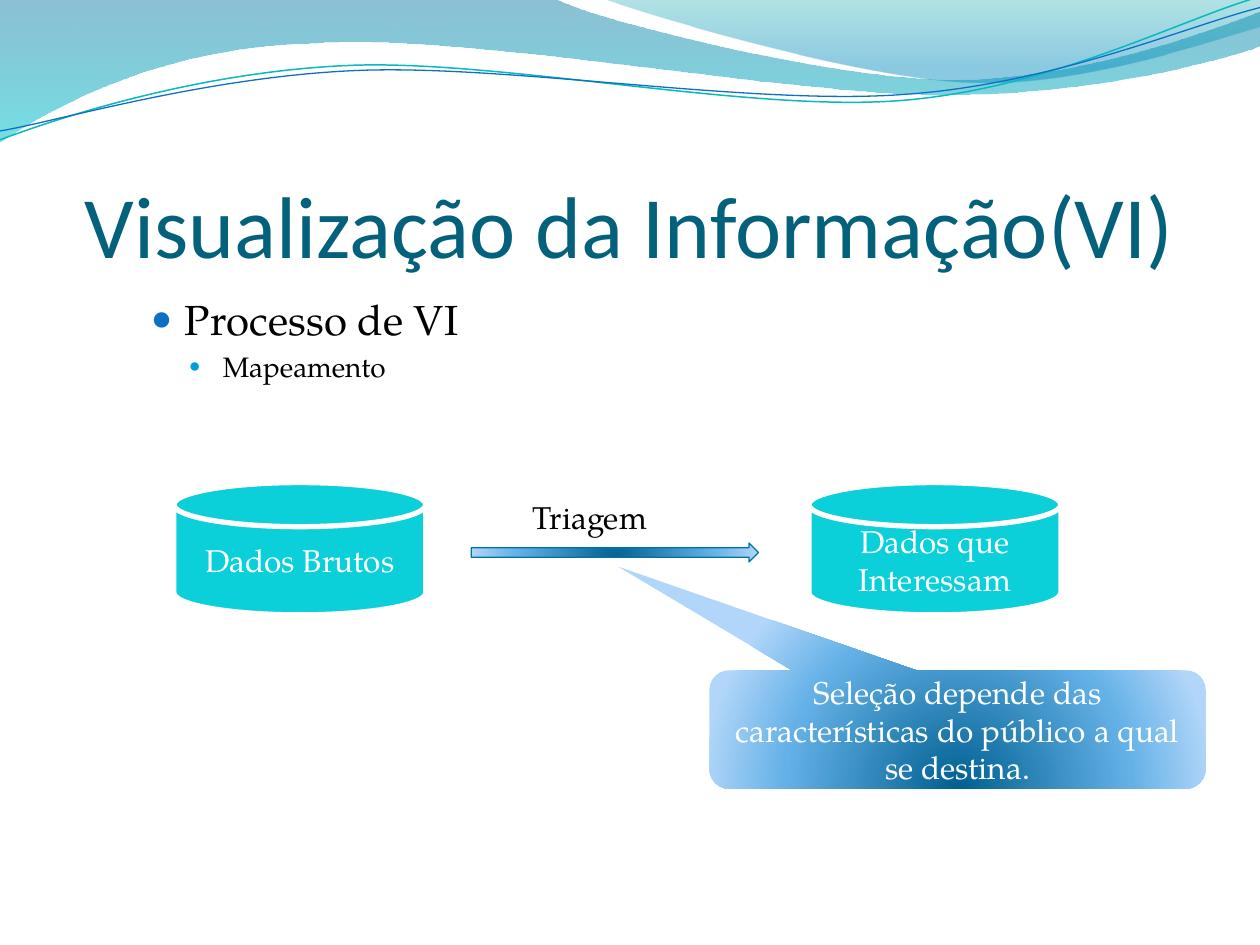
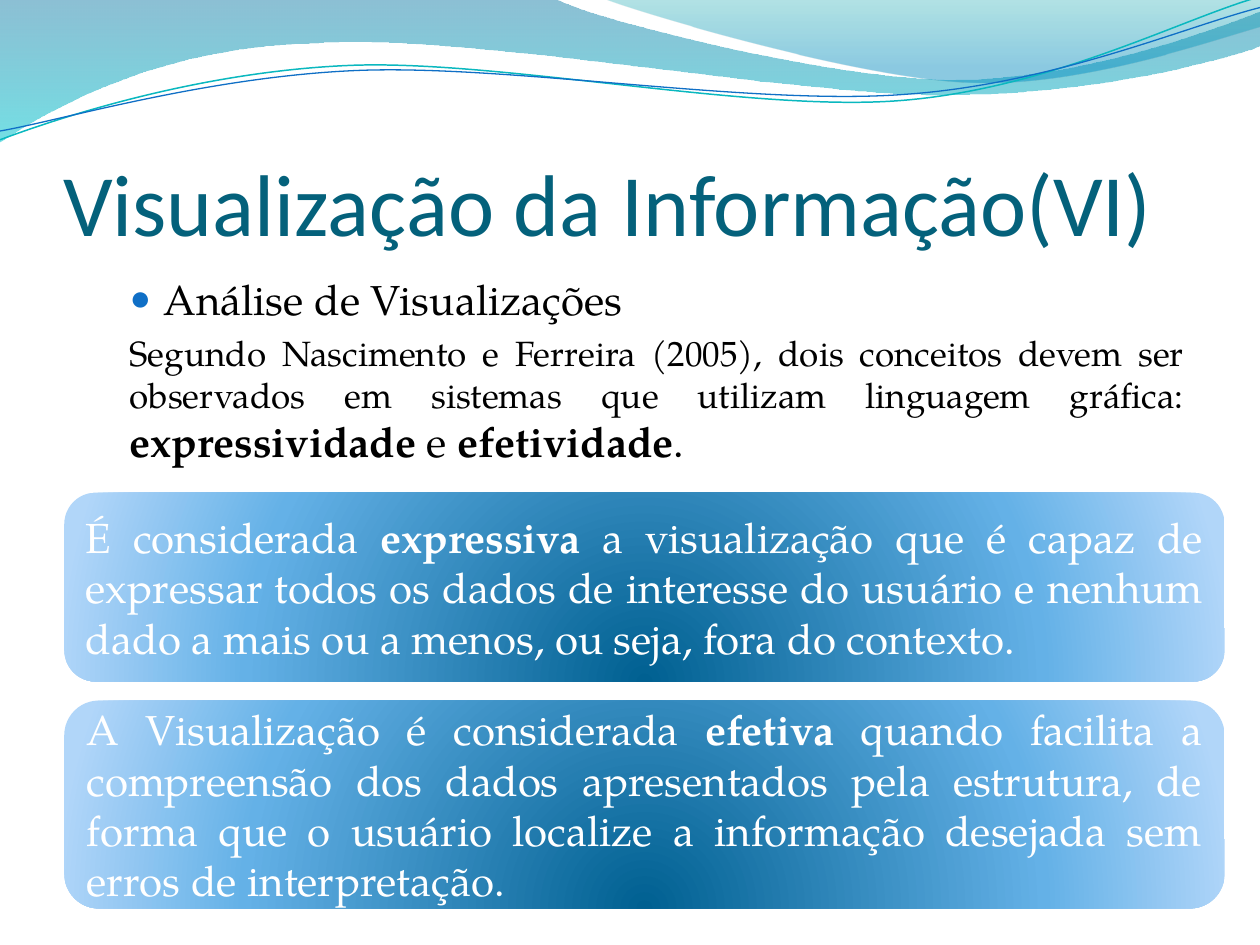
from lxml import etree
from pptx import Presentation
from pptx.dml.color import RGBColor
from pptx.enum.shapes import MSO_SHAPE as Shape
from pptx.enum.text import MSO_ANCHOR as Anchor, MSO_AUTO_SIZE as AutoSize, PP_ALIGN as Align
from pptx.oxml import parse_xml
from pptx.oxml.ns import nsdecls, qn
from pptx.util import Inches, Pt

TITLE_FONT = "Calibri"
BODY_FONT = "TeX Gyre Pagella"
TITLE_TEXT = "Visualização da Informação(VI)"

BLACK = RGBColor(0x00, 0x00, 0x00)
WHITE = RGBColor(0xFF, 0xFF, 0xFF)
TITLE_TEAL = RGBColor(0x04, 0x61, 0x7B)
BLUE = RGBColor(0x0F, 0x6F, 0xC6)
SKY = RGBColor(0x00, 0x9D, 0xD9)
CYAN = RGBColor(0x0B, 0xD0, 0xD9)
WAVE_CYAN = RGBColor(0x0A, 0xB8, 0xBF)
ARROW_EDGE = RGBColor(0x00, 0x74, 0xA1)

# Gradient stops: position %, colour, opacity %
LEFT_WAVE_STOPS = [(0, ARROW_EDGE, 45), (100, RGBColor(0x00, 0xC6, 0xCF), 55)]
RIGHT_WAVE_STOPS = [(0, RGBColor(0x00, 0xA1, 0xA9), 30), (80, RGBColor(0x00, 0x8B, 0xBF), 45)]
GLOW_STOPS = [(0, RGBColor(0x00, 0x60, 0x91), 100), (68, RGBColor(0x64, 0xB1, 0xE7), 100),
              (100, RGBColor(0xB1, 0xD6, 0xF9), 100)]
DOWNWARD = '<a:lin ang="5400000" scaled="1"/>'
FROM_BELOW = ('<a:path path="circle"><a:fillToRect l="50000" t="130000" r="50000" b="-30000"/>'
              '</a:path>')

# Outlines in inches: a pair is a straight step, six numbers are a Bézier step
LEFT_WAVE = [(0, 0), (4.4, -0.01), (4.76, 0.17, 6.64, 0.63, 7.58, 0.63),
             (8.53, 0.63, 9.58, 0.26, 10, 0.09), (10.01, 0.36),
             (9.83, 0.44, 8.7, 0.76, 7.46, 0.75), (6.22, 0.75, 3.82, 0.28, 2.57, 0.34),
             (1.29, 0.36, 0.46, 0.83, -0.01, 1.13)]
RIGHT_WAVE = [(4.79, -0.01), (5.09, 0.11, 6.82, 0.62, 7.69, 0.65),
              (8.56, 0.69, 9.61, 0.32, 10, 0.21), (10, 0)]
CYAN_CURVE = [(0, 1.11), (0.48, 0.93, 1.58, 0.57, 2.77, 0.52),
              (3.95, 0.47, 5.93, 0.89, 7.13, 0.8), (8.33, 0.71, 9.38, 0.15, 9.98, -0.02)]
BLUE_CURVE = [(0, 1.04), (0.47, 0.96, 1.64, 0.61, 2.83, 0.56),
              (4.03, 0.51, 5.97, 0.84, 7.17, 0.75), (8.36, 0.67, 9.41, 0.21, 10, 0.06)]


def inches(*lengths):
    return [Inches(length) for length in lengths]


def fill_gradient(shape, stops, direction):
    marks = "".join(
        f'<a:gs pos="{position * 1000}"><a:srgbClr val="{colour}">'
        f'<a:alpha val="{opacity * 1000}"/></a:srgbClr></a:gs>'
        for position, colour, opacity in stops)
    shape.element.spPr.insert(2, parse_xml(
        f'<a:gradFill {nsdecls("a")} rotWithShape="1"><a:gsLst>{marks}</a:gsLst>'
        f'{direction}</a:gradFill>'))


def add_outline(page, outline, close):
    """Build a freeform through the end points, then bend its Bézier steps."""
    start, *steps = outline
    builder = page.shapes.build_freeform(*inches(*start))
    builder.add_line_segments([inches(*step[-2:]) for step in steps], close=close)
    shape = builder.convert_to_shape()
    shape.shadow.inherit = False
    segments = list(shape.element.iter(qn("a:lnTo")))
    for segment, step in zip(segments, steps):
        if len(step) == 6:
            segment.tag = qn("a:cubicBezTo")
            for index in (0, 2):
                control = etree.Element(qn("a:pt"), x=str(Inches(step[index]) - shape.left),
                                        y=str(Inches(step[index + 1]) - shape.top))
                segment.insert(index // 2, control)
    return shape


def add_wave_band(page, master):
    """Draw the waves on a page and move them to the master, behind everything."""
    shapes = []
    for outline, stops in ((LEFT_WAVE, LEFT_WAVE_STOPS), (RIGHT_WAVE, RIGHT_WAVE_STOPS)):
        wave = add_outline(page, outline, close=True)
        wave.line.fill.background()
        fill_gradient(wave, stops, DOWNWARD)
        shapes.append(wave)
    for outline, colour, width in ((CYAN_CURVE, WAVE_CYAN, 0.85), (BLUE_CURVE, BLUE, 0.75)):
        curve = add_outline(page, outline, close=False)
        curve.fill.background()
        curve.line.color.rgb = colour
        curve.line.width = Pt(width)
        shapes.append(curve)
    for index, shape in enumerate(shapes):
        shape.element.nvSpPr.cNvPr.set("id", str(101 + index))
        master.shapes.element.insert(2 + index, shape.element)


def set_font(font, size, colour, name=BODY_FONT):
    font.name, font.size, font.color.rgb = name, Pt(size), colour


def add_page(deck, left, top):
    """Add a page with its title at the given corner."""
    page = deck.slides.add_slide(deck.slide_layouts[5])
    title = page.shapes.title
    title.left, title.top, title.width, title.height = inches(left, top, 9, 1.25)
    frame = title.text_frame
    frame.text = TITLE_TEXT
    frame.auto_size = AutoSize.NONE
    frame.vertical_anchor = Anchor.BOTTOM
    frame.margin_left = frame.margin_right = frame.margin_bottom = 0
    frame.margin_top = Inches(0.05)
    para = frame.paragraphs[0]
    para.alignment = Align.LEFT
    set_font(para.font, 50, TITLE_TEAL, TITLE_FONT)
    return page


def add_text_box(page, box):
    frame = page.shapes.add_textbox(*inches(*box)).text_frame
    frame.word_wrap = True
    return frame


def indent(para, margin, first_line=0.0):
    props = para._p.get_or_add_pPr()
    props.set("marL", str(Inches(margin)))
    props.set("indent", str(Inches(first_line)))
    return props


def format_bullet(para, text, size, margin, colour, scale):
    para.text = text
    set_font(para.font, size, BLACK)
    para.space_before = Pt(size * 0.2)
    props = indent(para, margin, -0.27)
    etree.SubElement(etree.SubElement(props, qn("a:buClr")), qn("a:srgbClr"), val=str(colour))
    etree.SubElement(props, qn("a:buSzPct"), val=str(scale * 1000))
    etree.SubElement(props, qn("a:buFont"), typeface="Arial")
    etree.SubElement(props, qn("a:buChar"), char="●")
    # The default run properties must follow the bullet settings
    props.append(props.find(qn("a:defRPr")))


def format_topic(para, text):
    format_bullet(para, text, 24, 0.7, BLUE, 85)


def add_spans(para, parts):
    """Add (text, size, bold) spans to a paragraph."""
    for text, size, bold in parts:
        span = para.add_run()
        span.text = text
        span.font.size = Pt(size)
        span.font.bold = bold


def add_shape_text(shape, size, align):
    frame = shape.text_frame
    frame.word_wrap = True
    frame.vertical_anchor = Anchor.MIDDLE
    para = frame.paragraphs[0]
    para.alignment = align
    set_font(para.font, size, WHITE)
    return para


def add_data_store(page, left, top, label):
    store = page.shapes.add_shape(Shape.FLOWCHART_MAGNETIC_DISK, *inches(left, top, 2, 1.05))
    store.shadow.inherit = False
    store.fill.solid()
    store.fill.fore_color.rgb = CYAN
    store.line.color.rgb = WHITE
    store.line.width = Pt(3)
    add_shape_text(store, 18, Align.CENTER).text = label


def add_glow_shape(page, kind, box):
    shape = page.shapes.add_shape(kind, *inches(*box))
    shape.shadow.inherit = False
    fill_gradient(shape, GLOW_STOPS, FROM_BELOW)
    shape.line.fill.background()
    return shape


def add_screening_flow(page, left, top):
    """Draw raw data, the screening arrow, the data of interest and the callout."""
    add_data_store(page, left, top, "Dados Brutos")
    add_data_store(page, left + 5.04, top, "Dados que Interessam")

    arrow = add_glow_shape(page, Shape.RIGHT_ARROW, (left + 2.36, top + 0.48, 2.28, 0.15))
    arrow.line.color.rgb = ARROW_EDGE
    arrow.line.width = Pt(0.75)
    para = add_text_box(page, (left + 2.75, top + 0.07, 1.5, 0.4)).paragraphs[0]
    para.text = "Triagem"
    set_font(para.font, 18, BLACK)

    callout = add_glow_shape(page, Shape.ROUNDED_RECTANGULAR_CALLOUT,
                             (left + 4.25, top + 1.49, 3.94, 0.94))
    callout.adjustments[0] = -0.684
    callout.adjustments[1] = -1.376
    add_shape_text(callout, 18, Align.CENTER).text = (
        "Seleção depende das características do público a qual se destina.")


def add_definition(page, box, parts):
    panel = add_glow_shape(page, Shape.ROUNDED_RECTANGLE, box)
    add_spans(add_shape_text(panel, 24, Align.JUSTIFY), parts)


def add_process_page(deck):
    page = add_page(deck, 0.67, 0.94)
    add_wave_band(page, deck.slide_master)
    frame = add_text_box(page, (0.67, 2.28, 9, 4.8))
    format_topic(frame.paragraphs[0], "Processo de VI")
    format_bullet(frame.add_paragraph(), "Mapeamento", 16, 1, SKY, 70)
    add_screening_flow(page, 1.38, 3.83)


def add_analysis_page(deck):
    page = add_page(deck, 0.5, 0.77)
    frame = add_text_box(page, (0.5, 2.12, 9, 4.8))
    format_topic(frame.paragraphs[0], "Análise de Visualizações")
    para = frame.add_paragraph()
    para.alignment = Align.JUSTIFY
    para.space_before = Pt(4.5)
    indent(para, 0.43)
    set_font(para.font, 20, BLACK)
    add_spans(para, [
        ("Segundo Nascimento e Ferreira (2005), dois conceitos devem ser observados em "
         "sistemas que utilizam linguagem gráfica: ", 20, False),
        ("expressividade ", 24, True), ("e", 24, False),
        (" efetividade", 24, True), (". ", 24, False)])

    add_definition(page, (0.51, 3.91, 9.21, 1.5), [
        ("É considerada ", 24, False), ("expressiva", 24, True),
        (" a visualização que é capaz de expressar todos os dados de interesse do usuário "
         "e nenhum dado a mais ou a menos, ou seja, fora do contexto. ", 24, False)])
    add_definition(page, (0.51, 5.56, 9.21, 1.65), [
        ("A Visualização é considerada ", 24, False), ("efetiva", 24, True),
        (" quando facilita a compreensão dos dados apresentados pela estrutura, de forma "
         "que o usuário localize a informação desejada sem erros de interpretação. ", 24, False)])


def main():
    deck = Presentation()
    deck.slide_width, deck.slide_height = inches(10, 7.5)
    add_process_page(deck)
    add_analysis_page(deck)
    deck.save("out.pptx")


if __name__ == "__main__":
    main()
